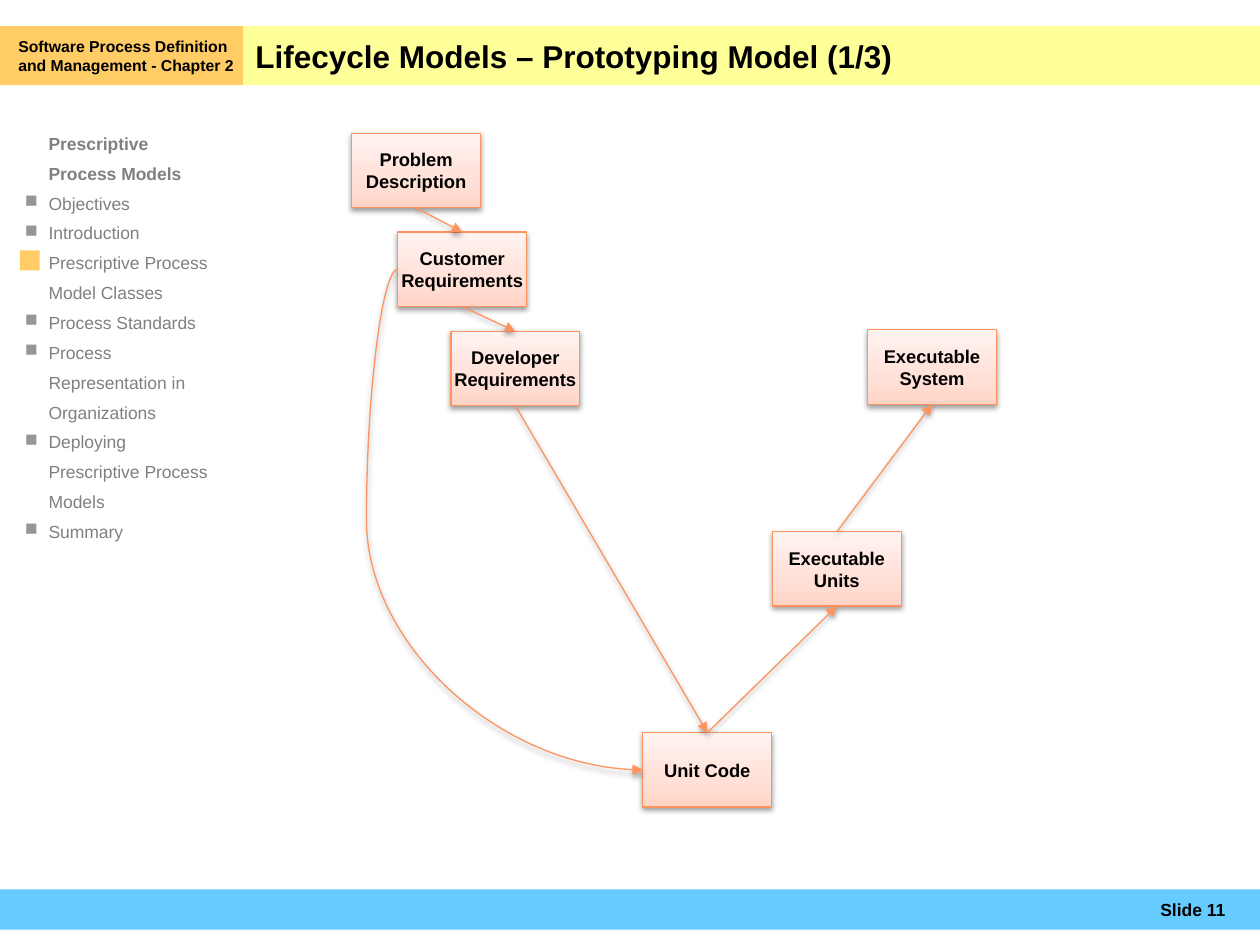
from lxml.etree import SubElement
from pptx import Presentation
from pptx.dml.color import RGBColor
from pptx.enum.shapes import MSO_CONNECTOR, MSO_SHAPE
from pptx.enum.text import MSO_ANCHOR, PP_ALIGN
from pptx.oxml import parse_xml
from pptx.oxml.ns import nsdecls, qn
from pptx.util import Cm, Pt

ACCENT = "FD9460"
NODE_WIDTH, NODE_HEIGHT = 2.6, 1.5
TOP, LEFT, BOTTOM = 0, 1, 2
NODES = {
    "Problem Description": (7.09, 2.69),
    "Executable System": (17.49, 6.65),
    "Executable Units": (15.57, 10.72),
    "Developer Requirements": (9.09, 6.68),
    "Customer Requirements": (8.02, 4.68),
    "Unit Code": (12.96, 14.77),
}
ARROWS = [
    ("Problem Description", BOTTOM, "Customer Requirements", TOP),
    ("Customer Requirements", BOTTOM, "Developer Requirements", TOP),
    ("Developer Requirements", BOTTOM, "Unit Code", TOP),
    ("Unit Code", TOP, "Executable Units", BOTTOM),
    ("Executable Units", TOP, "Executable System", BOTTOM),
]
OUTLINE = [
    "Objectives",
    "Introduction",
    "Prescriptive Process Model Classes",
    "Process Standards",
    "Process Representation in Organizations",
    "Deploying Prescriptive Process Models",
    "Summary",
]


def color(value):
    return RGBColor.from_string(value)


def add_span(paragraph, text, size, bold=True, shade="000000"):
    span = paragraph.add_run()
    span.text = text
    span.font.name = "Arial"
    span.font.size = Pt(size)
    span.font.bold = bold
    span.font.color.rgb = color(shade)


def set_frame(box, horizontal, vertical, anchor=MSO_ANCHOR.MIDDLE):
    frame = box.text_frame
    frame.word_wrap = True
    frame.vertical_anchor = anchor
    frame.margin_left = frame.margin_right = Cm(horizontal)
    frame.margin_top = frame.margin_bottom = Cm(vertical)
    return frame


def write_line(box, text, size, align, horizontal, vertical):
    paragraph = set_frame(box, horizontal, vertical).paragraphs[0]
    paragraph.alignment = align
    add_span(paragraph, text, size)


def add_band(page, left, top, width, height, fill):
    band = page.shapes.add_shape(
        MSO_SHAPE.RECTANGLE, Cm(left), Cm(top), Cm(width), Cm(height))
    band.shadow.inherit = False
    band.fill.solid()
    band.fill.fore_color.rgb = color(fill)
    band.line.fill.background()
    return band


def add_soft_shadow(properties):
    for old in properties.findall(qn("a:effectLst")):
        properties.remove(old)
    properties.append(parse_xml(
        f'<a:effectLst {nsdecls("a")}>'
        '<a:outerShdw blurRad="40000" dist="20000" dir="5400000" rotWithShape="0">'
        '<a:srgbClr val="000000"><a:alpha val="38000"/></a:srgbClr>'
        '</a:outerShdw></a:effectLst>'))


def style_line(line):
    line.color.rgb = color(ACCENT)
    line.width = Pt(0.75)


def add_node(page, text, left, top):
    node = add_band(page, left, top, NODE_WIDTH, NODE_HEIGHT, "FFE0D7")
    stops = "".join(
        f'<a:gs pos="{position}"><a:srgbClr val="{shade}"/></a:gs>'
        for position, shade in ((0, "FFD4C6"), (35000, "FFE0D7"), (100000, "FFF3F0")))
    gradient = parse_xml(
        f'<a:gradFill {nsdecls("a")} rotWithShape="1"><a:gsLst>{stops}</a:gsLst>'
        '<a:lin ang="16200000" scaled="0"/></a:gradFill>')
    properties = node._element.spPr
    properties.replace(properties.find(qn("a:solidFill")), gradient)
    style_line(node.line)
    add_soft_shadow(properties)
    write_line(node, text, 10.5, PP_ALIGN.CENTER, 0.05, 0.05)
    return node


def add_arrow(page, start, start_site, end, end_site, kind=MSO_CONNECTOR.STRAIGHT):
    arrow = page.shapes.add_connector(kind, 0, 0, 0, 0)
    arrow.begin_connect(start, start_site)
    arrow.end_connect(end, end_site)
    style_line(arrow.line)
    SubElement(arrow.line._get_or_add_ln(), qn("a:tailEnd"), type="triangle")
    add_soft_shadow(arrow._element.spPr)
    return arrow


def add_feedback_curve(page, start, end):
    curve = add_arrow(page, start, LEFT, end, LEFT, MSO_CONNECTOR.CURVE)
    geometry = curve._element.spPr.find(qn("a:prstGeom"))
    guides = geometry.find(qn("a:avLst"))
    SubElement(guides, qn("a:gd"), name="adj1", fmla="val -12800")


def add_outline(page):
    box = page.shapes.add_textbox(Cm(0.5), Cm(2.5), Cm(3.82), Cm(15))
    frame = set_frame(box, 0, 0, MSO_ANCHOR.TOP)
    for index, text in enumerate(["Prescriptive Process Models"] + OUTLINE):
        heading = index == 0
        paragraph = frame.paragraphs[0] if heading else frame.add_paragraph()
        paragraph.line_spacing = 1.42
        properties = paragraph._p.get_or_add_pPr()
        properties.set("marL", str(Cm(0.48)))
        properties.set("indent", str(Cm(0 if heading else -0.48)))
        if not heading:
            bullet_color = SubElement(properties, qn("a:buClr"))
            SubElement(bullet_color, qn("a:srgbClr"), val="969696")
            SubElement(properties, qn("a:buChar"), char="■")
        add_span(paragraph, text, 10, bold=heading, shade="808080")


def main():
    deck = Presentation()
    deck.slide_width, deck.slide_height = Cm(25.4), Cm(19.05)
    page = deck.slides.add_slide(deck.slide_layouts[6])

    add_band(page, 0, 17.93, 25.4, 0.81, "66CCFF")
    add_outline(page)
    title = add_band(page, 4.9, 0.53, 20.5, 1.19, "FFFF99")
    write_line(title, "Lifecycle Models – Prototyping Model (1/3)", 18,
               PP_ALIGN.LEFT, 0.25, 0.13)
    chapter = add_band(page, 0, 0.53, 4.9, 1.19, "FFCC66")
    write_line(chapter, "Software Process Definition and Management - Chapter 2", 9,
               PP_ALIGN.LEFT, 0.1, 0.13)
    chapter.text_frame.margin_left = Cm(0.37)
    number = page.shapes.add_textbox(Cm(22.1), Cm(17.93), Cm(2.6), Cm(0.81))
    write_line(number, "Slide 11", 10, PP_ALIGN.RIGHT, 0, 0.1)

    nodes = {text: add_node(page, text, *place) for text, place in NODES.items()}
    for start, start_site, end, end_site in ARROWS:
        add_arrow(page, nodes[start], start_site, nodes[end], end_site)
    add_feedback_curve(page, nodes["Customer Requirements"], nodes["Unit Code"])
    add_band(page, 0.4, 5.05, 0.4, 0.4, "FFCC66")

    deck.save("out.pptx")


if __name__ == "__main__":
    main()
